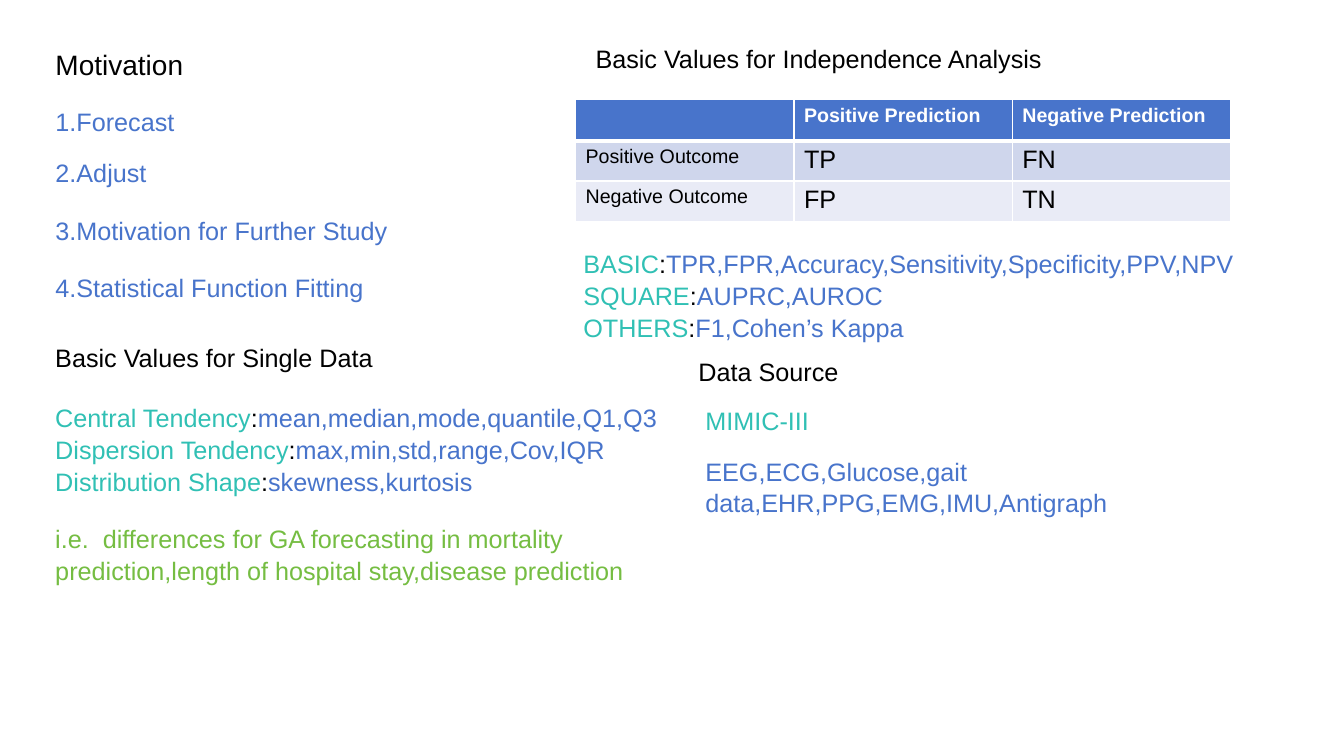
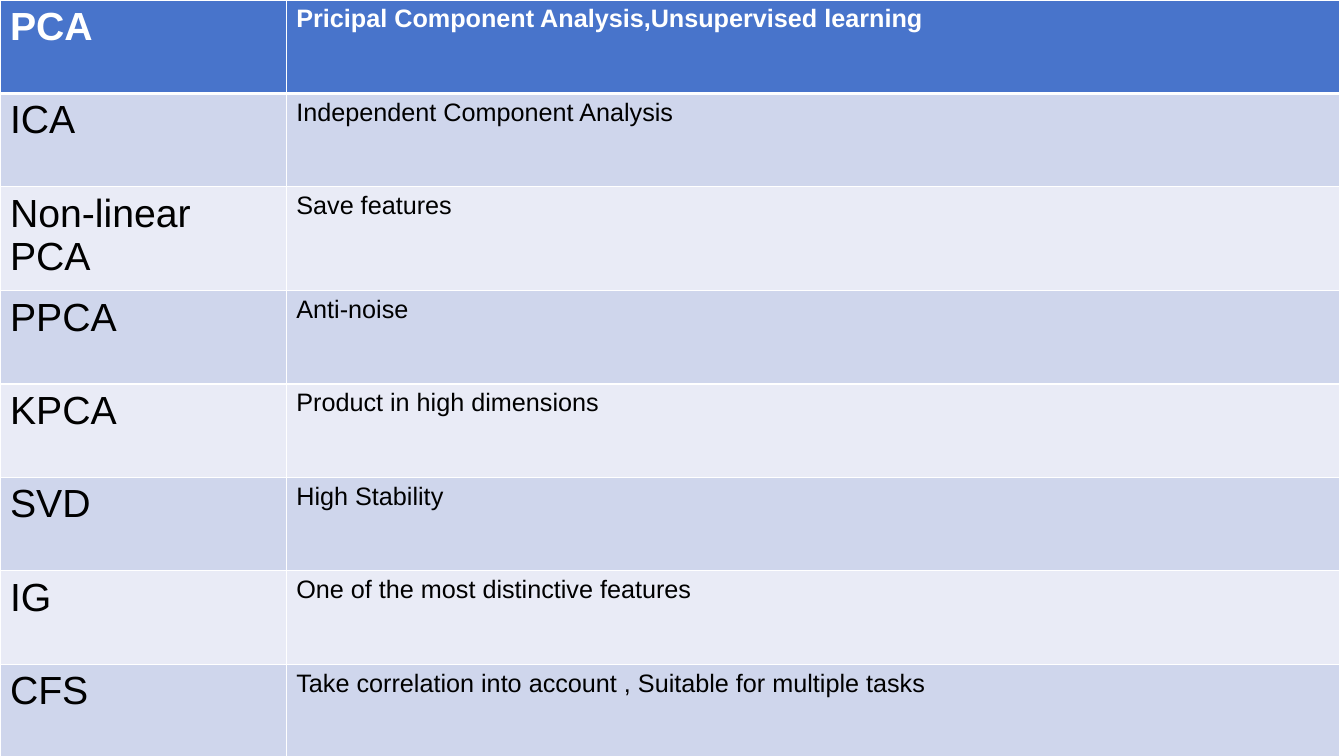
from typing import NamedTuple, Sequence

from lxml import etree
from pptx import Presentation
from pptx.dml.color import RGBColor
from pptx.enum.text import MSO_ANCHOR, MSO_AUTO_SIZE, PP_ALIGN
from pptx.oxml.ns import qn
from pptx.util import Pt

TOP = MSO_ANCHOR.TOP
LEFT = PP_ALIGN.LEFT
NO_AUTOFIT = MSO_AUTO_SIZE.NONE

TITLE_AND_CONTENT, BLANK = 1, 6
FONT = "Arial"
BLACK, WHITE = "000000", "FFFFFF"
BLUE, TEAL, GREEN = "4874CB", "30C0B4", "75BD42"
BANDS = ("CFD6EC", "E9EBF6")
TITLE_SIZE, TEXT_SIZE = 20, 18
LINE_SPACING = 1.05
MARGIN = 32.4
THIN, THICK = 1, 3


class Area(NamedTuple):
    left: float
    top: float
    width: float
    height: float


class Span(NamedTuple):
    text: str
    color: str = BLACK
    size: float = TEXT_SIZE
    bold: bool = False


class Line(NamedTuple):
    spans: Sequence[Span]
    space_before: float = 0


class Block(NamedTuple):
    area: Area
    lines: Sequence[Line]


class Grid(NamedTuple):
    area: Area
    columns: Sequence[float]
    rows: Sequence[float]
    cells: Sequence[Sequence[Span]]


def rgb(color: str) -> RGBColor:
    return RGBColor.from_string(color)


def plain(text: str, color: str = BLACK, size: float = TEXT_SIZE) -> list[Line]:
    return [Line([Span(text, color, size)])]


def labelled(label: str, values: str) -> Line:
    """A teal label, a black colon and blue values."""
    return Line([Span(label, TEAL), Span(":"), Span(values, BLUE)])


def add_span(para, span: Span) -> None:
    run = para.add_run()
    run.text = span.text
    font = run.font
    font.name = FONT
    font.size = Pt(span.size)
    font.bold = span.bold
    font.color.rgb = rgb(span.color)


def place(shape, area: Area) -> None:
    shape.left, shape.top, shape.width, shape.height = map(Pt, area)


def write_block(shape, block: Block) -> None:
    """Place a text box or placeholder and fill it with unbulleted lines."""
    place(shape, block.area)
    frame = shape.text_frame
    frame.word_wrap = True
    frame.auto_size = NO_AUTOFIT
    frame.vertical_anchor = TOP
    for index, line in enumerate(block.lines):
        para = frame.add_paragraph() if index else frame.paragraphs[0]
        properties = para._p.get_or_add_pPr()
        properties.set("marL", "0")
        properties.set("indent", "0")
        etree.SubElement(properties, qn("a:buNone"))
        para.alignment = LEFT
        para.line_spacing = LINE_SPACING
        para.space_before = Pt(line.space_before)
        for span in line.spans:
            add_span(para, span)


def add_block(page, block: Block) -> None:
    write_block(page.shapes.add_textbox(*map(Pt, block.area)), block)


def set_borders(cell, row: int) -> None:
    """White rules, thicker between the header and the first row."""
    properties = cell._tc.get_or_add_tcPr()
    widths = {
        "L": THIN,
        "R": THIN,
        "T": THICK if row == 1 else THIN,
        "B": THICK if row == 0 else THIN,
    }
    for side, width in widths.items():
        edge = etree.SubElement(properties, qn(f"a:ln{side}"), w=str(Pt(width)))
        fill = etree.SubElement(edge, qn("a:solidFill"))
        etree.SubElement(fill, qn("a:srgbClr"), val=WHITE)


def add_grid(page, grid: Grid) -> None:
    frame = page.shapes.add_table(
        len(grid.rows), len(grid.columns), *map(Pt, grid.area)
    )
    table = frame.table
    for column, width in zip(table.columns, grid.columns):
        column.width = Pt(width)
    for row, height in zip(table.rows, grid.rows):
        row.height = Pt(height)
    for row, spans in enumerate(grid.cells):
        for column, span in enumerate(spans):
            cell = table.cell(row, column)
            set_borders(cell, row)
            cell.fill.solid()
            cell.fill.fore_color.rgb = rgb(BANDS[(row - 1) % 2] if row else BLUE)
            if span.text:
                style = span if row else span._replace(color=WHITE, bold=True)
                add_span(cell.text_frame.paragraphs[0], style)


MOTIVATION_TITLE = Block(
    Area(MARGIN, 28.8, 453, 31.7), plain("Motivation", size=TITLE_SIZE)
)
MOTIVATION_LIST = Block(
    Area(MARGIN, 71.3, 360, 145),
    [
        Line([Span("1.Forecast", BLUE)]),
        Line([Span("2.Adjust", BLUE)], 13.6),
        Line([Span("3.Motivation for Further Study", BLUE)], 18.6),
        Line([Span("4.Statistical Function Fitting", BLUE)], 18.6),
    ],
)
OVERVIEW_BLOCKS = [
    Block(Area(MARGIN, 239.8, 441.4, 28.8), plain("Basic Values for Single Data")),
    Block(
        Area(MARGIN, 283, 455.8, 75.6),
        [
            labelled("Central Tendency", "mean,median,mode,quantile,Q1,Q3"),
            labelled("Dispersion Tendency", "max,min,std,range,Cov,IQR"),
            labelled("Distribution Shape", "skewness,kurtosis"),
        ],
    ),
    Block(
        Area(MARGIN, 369.4, 441.4, 88.6),
        plain(
            "i.e.  differences for GA forecasting in mortality "
            "prediction,length of hospital stay,disease prediction",
            GREEN,
        ),
    ),
    Block(
        Area(418.3, 26.6, 453.6, 28.8),
        plain("Basic Values for Independence Analysis"),
    ),
    Block(
        Area(409.7, 172.8, 485.3, 72.7),
        [
            labelled("BASIC", "TPR,FPR,Accuracy,Sensitivity,Specificity,PPV,NPV"),
            labelled("SQUARE", "AUPRC,AUROC"),
            labelled("OTHERS", "F1,Cohen’s Kappa"),
        ],
    ),
    Block(Area(491.8, 249.8, 287.3, 28.8), plain("Data Source")),
    Block(Area(496.8, 285.1, 414, 28.8), plain("MIMIC-III", TEAL)),
    Block(
        Area(496.8, 321.1, 398.9, 51.1),
        plain("EEG,ECG,Glucose,gait data,EHR,PPG,EMG,IMU,Antigraph", BLUE),
    ),
]

LABEL_SIZE = 14
CONFUSION_GRID = Grid(
    Area(411.1, 71.3, 468, 86.4),
    [156] * 3,
    [28.8] * 3,
    [
        [
            Span(text, size=LABEL_SIZE)
            for text in ("", "Positive Prediction", "Negative Prediction")
        ],
        [Span("Positive Outcome", size=LABEL_SIZE), Span("TP"), Span("FN")],
        [Span("Negative Outcome", size=LABEL_SIZE), Span("FP"), Span("TN")],
    ],
)

METHOD_SIZE = 28
METHODS = {
    "PCA": "Pricipal Component Analysis,Unsupervised learning",
    "ICA": "Independent Component Analysis",
    "Non-linear PCA": "Save features",
    "PPCA": "Anti-noise",
    "KPCA": "Product in high dimensions",
    "SVD": "High Stability",
    "IG": "One of the most distinctive features",
    "CFS": "Take correlation into account , Suitable for multiple tasks",
}
METHOD_GRID = Grid(
    Area(0, 0, 957, 541),
    [204.5, 752.5],
    [74.2 if name == "Non-linear PCA" else 66.7 for name in METHODS],
    [[Span(name, size=METHOD_SIZE), Span(note)] for name, note in METHODS.items()],
)


def add_overview(deck) -> None:
    page = deck.slides.add_slide(deck.slide_layouts[TITLE_AND_CONTENT])
    write_block(page.shapes.title, MOTIVATION_TITLE)
    write_block(page.placeholders[1], MOTIVATION_LIST)
    for block in OVERVIEW_BLOCKS:
        add_block(page, block)
    add_grid(page, CONFUSION_GRID)


def add_methods(deck) -> None:
    page = deck.slides.add_slide(deck.slide_layouts[BLANK])
    add_grid(page, METHOD_GRID)


def main() -> None:
    deck = Presentation()
    deck.slide_width, deck.slide_height = Pt(960), Pt(540)
    add_overview(deck)
    add_methods(deck)
    deck.save("out.pptx")


if __name__ == "__main__":
    main()
